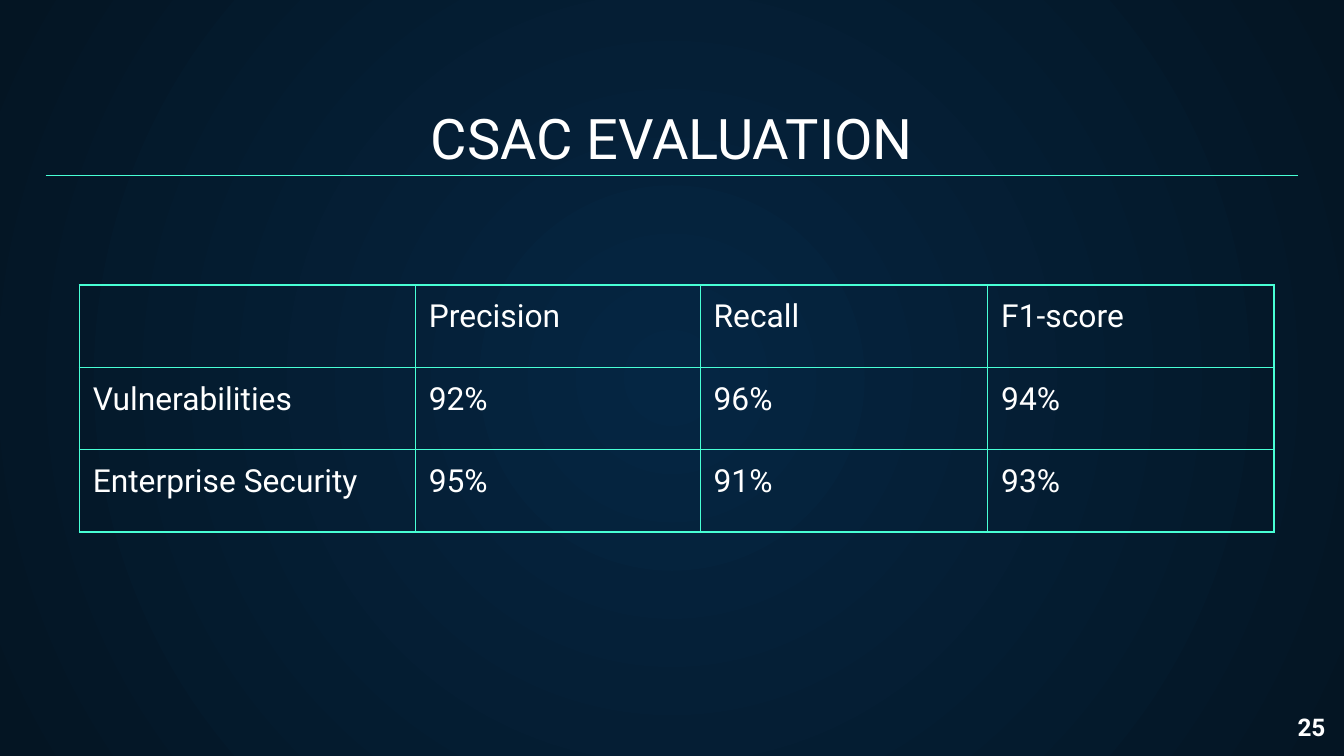
from lxml import etree
from pptx import Presentation, util as u
from pptx.dml.color import RGBColor
from pptx.enum import shapes, text
from pptx.oxml import parse_xml
from pptx.oxml.ns import nsdecls, qn

WHITE = RGBColor(0xFF, 0xFF, 0xFF)
AQUA = RGBColor(0x48, 0xFF, 0xD5)
NAVY = RGBColor(0x05, 0x26, 0x43)
MIDNIGHT = RGBColor(0x04, 0x15, 0x23)
FONT = "Roboto"
INSET = u.Inches(0.1)
WIDTH = u.Inches(10)
HEIGHT = WIDTH * 9 // 16

SCORES = [
    ["", "Precision", "Recall", "F1-score"],
    ["Vulnerabilities", "92%", "96%", "94%"],
    ["Enterprise Security", "95%", "91%", "93%"],
]
COLUMN_SHARES = [2.5, 2.12, 2.14, 2.13]


def inches(*lengths):
    """Turn lengths in inches into slide units."""
    return tuple(u.Inches(length) for length in lengths)


def set_insets(holder):
    """Give a cell or text frame equal margins."""
    holder.margin_left = holder.margin_right = INSET
    holder.margin_top = holder.margin_bottom = INSET


def style(paragraph, size, align, bold=False):
    """Format a paragraph in the deck's white typeface."""
    paragraph.alignment = align
    font = paragraph.font
    font.name, font.size, font.bold = FONT, u.Pt(size), bold
    font.color.rgb = WHITE


def paint_background(slide):
    """Fill the slide with a radial gradient, lighter in the centre."""
    fill = slide.background.fill
    fill.gradient()
    for stop, color, position in zip(fill.gradient_stops, (NAVY, MIDNIGHT), (0, 1)):
        stop.color.rgb = color
        stop.position = position
    gradient = slide.element.find(".//" + qn("a:gradFill"))
    gradient.replace(gradient.find(qn("a:lin")), parse_xml(
        f'<a:path {nsdecls("a")} path="circle">'
        '<a:fillToRect l="50000" t="50000" r="50000" b="50000"/></a:path>'))


def add_heading(slide, box, wording):
    """Place the title in its box, with a rule near the bottom edge."""
    left, top, width, height = box
    title = slide.shapes.title
    title.left, title.top, title.width, title.height = box
    frame = title.text_frame
    frame.text = wording
    frame.word_wrap = True
    frame.auto_size = text.MSO_AUTO_SIZE.NONE
    frame.vertical_anchor = text.MSO_ANCHOR.BOTTOM
    set_insets(frame)
    style(frame.paragraphs[0], 30, text.PP_ALIGN.CENTER)

    rule_y = top + int(height * 0.9)
    rule = slide.shapes.add_connector(
        shapes.MSO_CONNECTOR.STRAIGHT, left, rule_y, left + width, rule_y)
    rule.line.color.rgb = AQUA
    rule.line.width = u.Pt(0.75)
    etree.SubElement(rule.element.spPr, qn("a:effectLst"))


def outline(cell):
    """Draw all four borders of a table cell."""
    properties = cell._tc.get_or_add_tcPr()
    for side in ("lnL", "lnR", "lnT", "lnB"):
        properties.append(parse_xml(
            f'<a:{side} {nsdecls("a")} w="{u.Pt(0.75)}"><a:solidFill>'
            f'<a:srgbClr val="{AQUA}"/></a:solidFill></a:{side}>'))


def add_scores(slide, box):
    """Fill the box with the table of evaluation scores."""
    width = box[2]
    table = slide.shapes.add_table(len(SCORES), len(COLUMN_SHARES), *box).table
    table.first_row = table.horz_banding = False
    for column, share in zip(table.columns, COLUMN_SHARES):
        column.width = int(width * share / sum(COLUMN_SHARES))
    for row, wordings in zip(table.rows, SCORES):
        for cell, wording in zip(row.cells, wordings):
            cell.text = wording
            set_insets(cell)
            style(cell.text_frame.paragraphs[0], 17, text.PP_ALIGN.LEFT)
            outline(cell)
            cell.fill.background()


def add_page_number(slide, box, number):
    """Place the page number at the right of its box."""
    frame = slide.shapes.add_textbox(*box).text_frame
    frame.word_wrap = True
    frame.text = number
    set_insets(frame)
    style(frame.paragraphs[0], 13, text.PP_ALIGN.RIGHT, bold=True)


def main():
    """Build and save the evaluation slide."""
    deck = Presentation()
    deck.slide_width, deck.slide_height = WIDTH, HEIGHT
    slide = deck.slides.add_slide(deck.slide_layouts.get_by_name("Title Only"))
    paint_background(slide)
    add_heading(slide, inches(0.34, 0.71, 9.32, 0.66), "CSAC EVALUATION")
    add_scores(slide, inches(0.59, 2.12, sum(COLUMN_SHARES), 1.84))
    add_page_number(slide, inches(9.36, 5.2, 0.6, 0.43), "25")
    deck.save("out.pptx")


if __name__ == "__main__":
    main()
